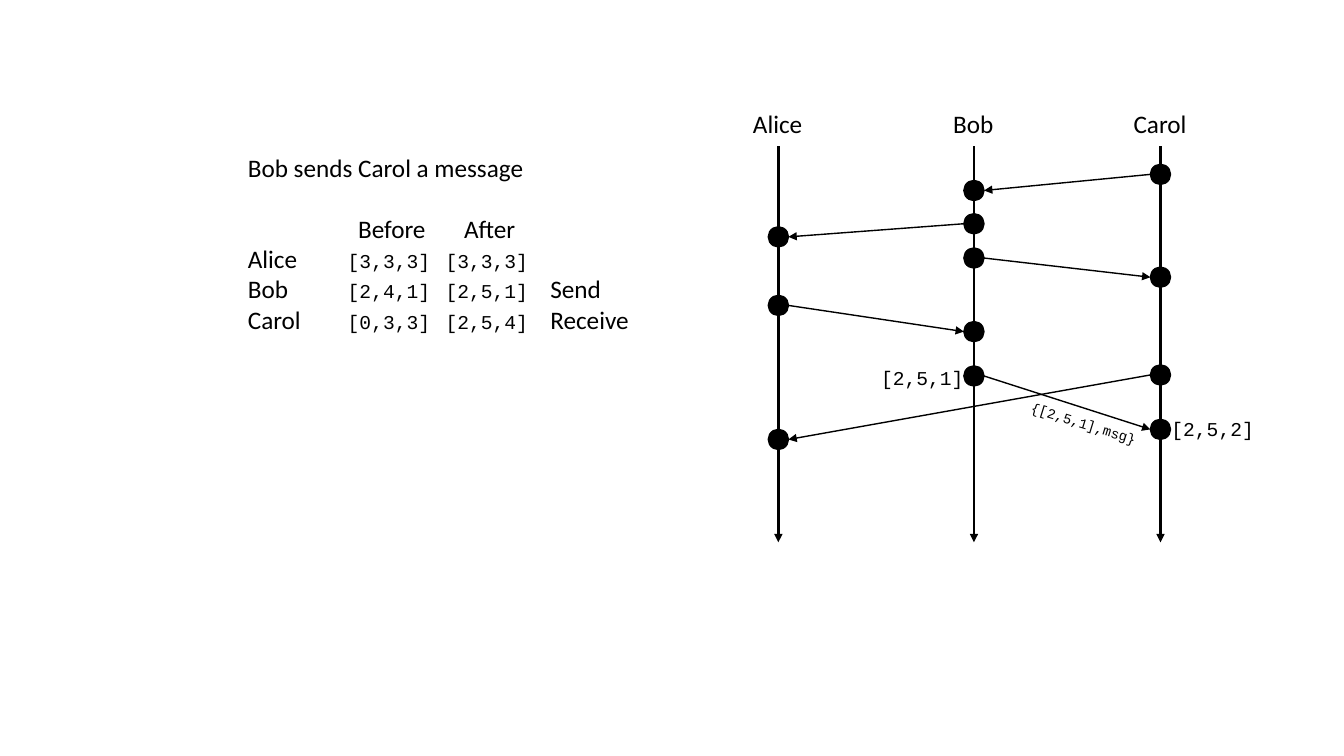
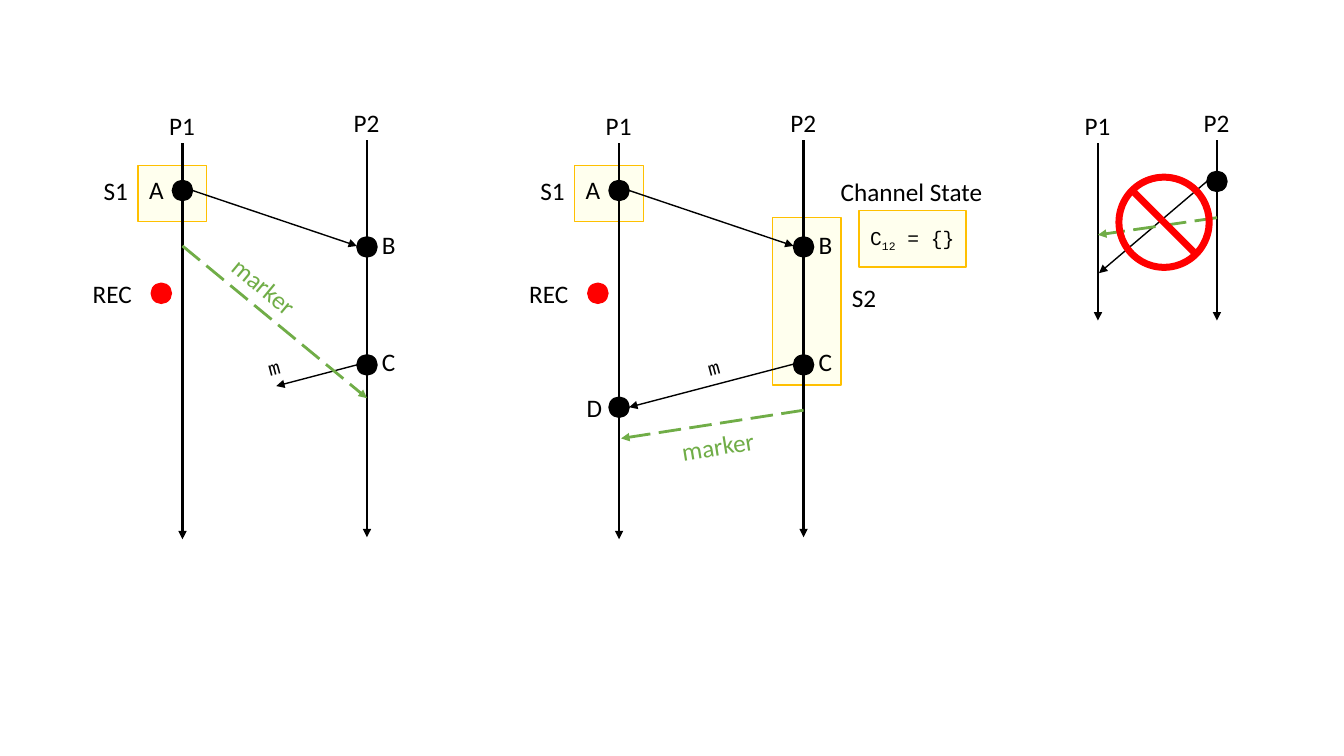
from lxml.etree import SubElement
from pptx import Presentation
from pptx.dml.color import RGBColor
from pptx.enum.dml import MSO_LINE
from pptx.enum.shapes import MSO_CONNECTOR, MSO_SHAPE
from pptx.enum.text import MSO_ANCHOR, MSO_AUTO_SIZE, PP_ALIGN
from pptx.oxml.ns import qn
from pptx.util import Inches, Pt

BLACK = RGBColor(0x00, 0x00, 0x00)
RED = RGBColor(0xFF, 0x00, 0x00)
GREEN = RGBColor(0x70, 0xAD, 0x47)
GOLD = RGBColor(0xFF, 0xC0, 0x00)
CREAM = RGBColor(0xFF, 0xFF, 0xEE)
SANS = "Calibri"
MONO = "Courier New"
RADIUS = 0.1


def add_label(slide, text, left, top, width, size=18, font=SANS, color=BLACK, rotation=0):
    label = slide.shapes.add_textbox(Inches(left), Inches(top), Inches(width), Inches(0.1 + size / 60))
    label.rotation = rotation
    frame = label.text_frame
    frame.word_wrap = False
    frame.auto_size = MSO_AUTO_SIZE.SHAPE_TO_FIT_TEXT
    frame.text = text
    run_font = frame.paragraphs[0].runs[0].font
    run_font.size, run_font.name, run_font.color.rgb = Pt(size), font, color
    return label


def add_arrow(slide, start, end, color=BLACK, weight=1, dash=None):
    arrow = slide.shapes.add_connector(MSO_CONNECTOR.STRAIGHT, *map(Inches, (*start, *end)))
    arrow.line.color.rgb = color
    arrow.line.width = Pt(weight)
    if dash:
        arrow.line.dash_style = dash
    properties = arrow._element.spPr
    SubElement(properties.find(qn("a:ln")), qn("a:tailEnd"), type="triangle")
    SubElement(properties, qn("a:effectLst"))


prs = Presentation()
prs.slide_width, prs.slide_height = Inches(13.33), Inches(7.5)
blank_layout = prs.slide_layouts[6]

clocks_slide = prs.slides.add_slide(blank_layout)
clock_rows = [
    ("\t Before\t After", "", ""),
    ("Alice", "\t[3,3,3]\t[3,3,3]", ""),
    ("Bob", "\t[2,4,1]\t[2,5,1]\t", "Send"),
    ("Carol", "\t[0,3,3]\t[2,5,4]\t", "Receive"),
]
clock_list = add_label(clocks_slide, "Bob sends Carol a message", 2.36, 1.46, 4.72).text_frame
clock_list.word_wrap = True
for row_number, row in enumerate(clock_rows):
    line = clock_list.add_paragraph()
    if row_number == 0:
        line.space_before = Pt(22)
    for part, size, font in zip(row, (18, 14, 18), (SANS, MONO, SANS)):
        if part:
            run = line.add_run()
            run.text = part
            run.font.size, run.font.name, run.font.color.rgb = Pt(size), font, BLACK
    tab_stops = SubElement(line._p.get_or_add_pPr(), qn("a:tabLst"))
    for position, alignment in ((1.4, "ctr"), (2.37, "ctr"), (3, "l")):
        SubElement(tab_stops, qn("a:tab"), pos=str(Inches(position)), algn=alignment)

ALICE, BOB, CAROL = 7.72, 9.66, 11.51
for person, x, width in (("Alice", ALICE, 0.7), ("Bob", BOB, 0.61), ("Carol", CAROL, 0.73)):
    add_label(clocks_slide, person, x - width / 2, 1.03, width)
    add_arrow(clocks_slide, (x, 1.45), (x, 5.38), weight=2)

events = []
for sender, sent, receiver, received in (
    (CAROL, 1.73, BOB, 1.89),
    (BOB, 2.22, ALICE, 2.35),
    (BOB, 2.56, CAROL, 2.75),
    (ALICE, 3.03, BOB, 3.29),
    (BOB, 3.73, CAROL, 4.26),
    (CAROL, 3.72, ALICE, 4.36),
):
    gap = RADIUS if receiver > sender else -RADIUS
    add_arrow(clocks_slide, (sender + gap, sent), (receiver - gap, received))
    events += [(clocks_slide, sender, sent, BLACK), (clocks_slide, receiver, received, BLACK)]

add_label(clocks_slide, "[2,5,1]", 8.64, 3.58, 1.02, 14, MONO)
add_label(clocks_slide, "[2,5,2]", 11.52, 4.09, 1.02, 14, MONO)
add_label(clocks_slide, "{[2,5,1],msg}", 10.11, 4.07, 1.3, 10, MONO, rotation=17.2)

snapshot_slide = prs.slides.add_slide(blank_layout)
P1, P2 = 1.81, 3.64
SECOND = 4.33
for left, top, width, height, content in (
    (1.37, 1.64, 0.68, 0.56, ()),
    (1.37 + SECOND, 1.64, 0.68, 0.56, ()),
    (7.66, 2.16, 0.68, 1.66, ()),
    (8.52, 2.09, 1.06, 0.56, ("C", "12", " = {}")),
):
    state = snapshot_slide.shapes.add_shape(MSO_SHAPE.RECTANGLE, *map(Inches, (left, top, width, height)))
    state.shadow.inherit = False
    state.fill.solid()
    state.fill.fore_color.rgb = CREAM
    state.line.color.rgb = GOLD
    state.line.width = Pt(1)
    if content:
        state.text_frame.word_wrap = False
        state.text_frame.vertical_anchor = MSO_ANCHOR.MIDDLE
        formula = state.text_frame.paragraphs[0]
        formula.alignment = PP_ALIGN.CENTER
        for part in content:
            run = formula.add_run()
            run.text = part
            run.font.size, run.font.name, run.font.color.rgb = Pt(14), MONO, BLACK
            if part == "12":
                run._r.get_or_add_rPr().set("baseline", "-25000")

for first, second, bottom in ((P1, P2, 5.35), (P1 + SECOND, P2 + SECOND, 5.35), (10.89, 12.07, 3.18)):
    for process, x, top, end in (("P1", first, 1.05, bottom), ("P2", second, 1.02, min(bottom, 5.33))):
        add_label(snapshot_slide, process, x - 0.23, top, 0.46)
        add_arrow(snapshot_slide, (x, top + 0.37), (x, end), weight=2)

for shift in (0, SECOND):
    add_arrow(snapshot_slide, (P1 + RADIUS + shift, 1.89), (P2 - RADIUS + shift, 2.44))
    for text, left, top, width in (
        ("A", 1.38, 1.68, 0.35),
        ("B", 3.69, 2.23, 0.34),
        ("C", 3.69, 3.39, 0.34),
        ("S1", 0.93, 1.69, 0.45),
        ("REC", 0.82, 2.71, 0.59),
    ):
        add_label(snapshot_slide, text, left + shift, top, width)
    for x, y, color in ((P1, 1.89, BLACK), (P2, 2.45, BLACK), (P2, 3.62, BLACK), (1.6, 2.91, RED)):
        events.append((snapshot_slide, x + shift, y, color))
events += [(snapshot_slide, P1 + SECOND, 4.04, BLACK), (snapshot_slide, 12.07, 1.8, BLACK)]

for start, end in (((3.54, 3.62), (2.74, 3.83)), ((7.88, 3.61), (6.24, 4.04)), ((11.97, 1.8), (10.9, 2.71))):
    add_arrow(snapshot_slide, start, end)
for start, end in (((1.81, 2.44), (3.64, 3.95)), ((7.97, 4.07), (6.16, 4.35)), ((12.07, 2.16), (10.89, 2.33))):
    add_arrow(snapshot_slide, start, end, GREEN, 2, MSO_LINE.LONG_DASH)

for text, left, top, width in (
    ("D", 5.72, 3.84, 0.36),
    ("S2", 8.35, 2.75, 0.45),
    ("Channel State", 8.24, 1.7, 1.62),
):
    add_label(snapshot_slide, text, left, top, width)
for left, top, rotation in ((2.16, 2.64, 39.8), (6.66, 4.22, 350.8)):
    add_label(snapshot_slide, "marker", left, top, 0.93, color=GREEN, rotation=rotation)
for left in (2.56, 6.92):
    add_label(snapshot_slide, "m", left, 3.48, 0.32, 14, MONO, rotation=345)

for slide, x, y, color in events:
    event = slide.shapes.add_shape(
        MSO_SHAPE.OVAL, Inches(x - RADIUS), Inches(y - RADIUS), Inches(2 * RADIUS), Inches(2 * RADIUS)
    )
    event.shadow.inherit = False
    event.fill.solid()
    event.fill.fore_color.rgb = color
    event.line.color.rgb = color
    event.line.width = Pt(1)

forbidden = snapshot_slide.shapes.add_shape(
    MSO_SHAPE.NO_SYMBOL, Inches(11.07), Inches(1.73), Inches(0.95), Inches(0.95)
)
forbidden.adjustments[0] = 0.058
forbidden.shadow.inherit = False
forbidden.fill.solid()
forbidden.fill.fore_color.rgb = RED
forbidden.line.color.rgb = RED
forbidden.line.width = Pt(1)

prs.save("out.pptx")
